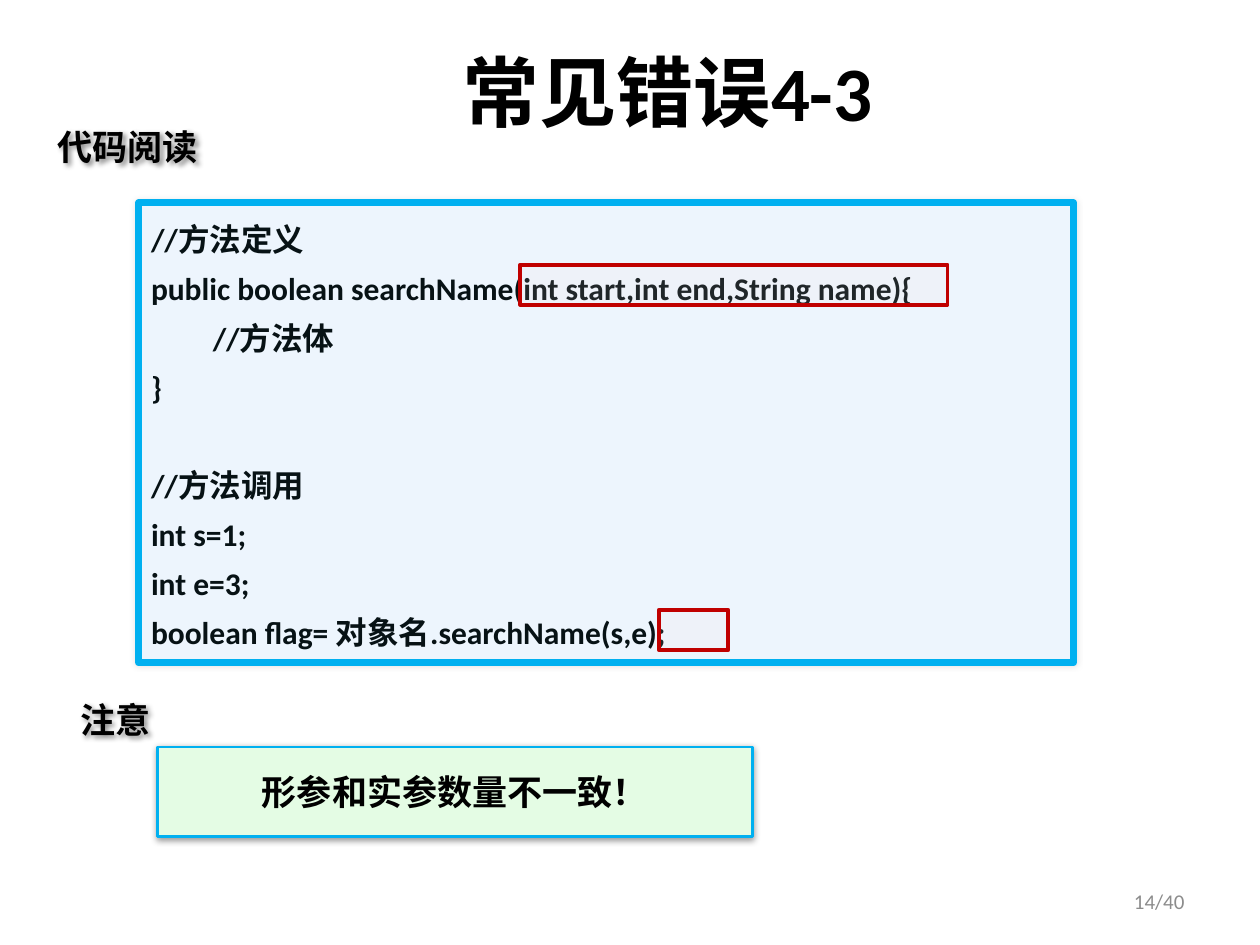
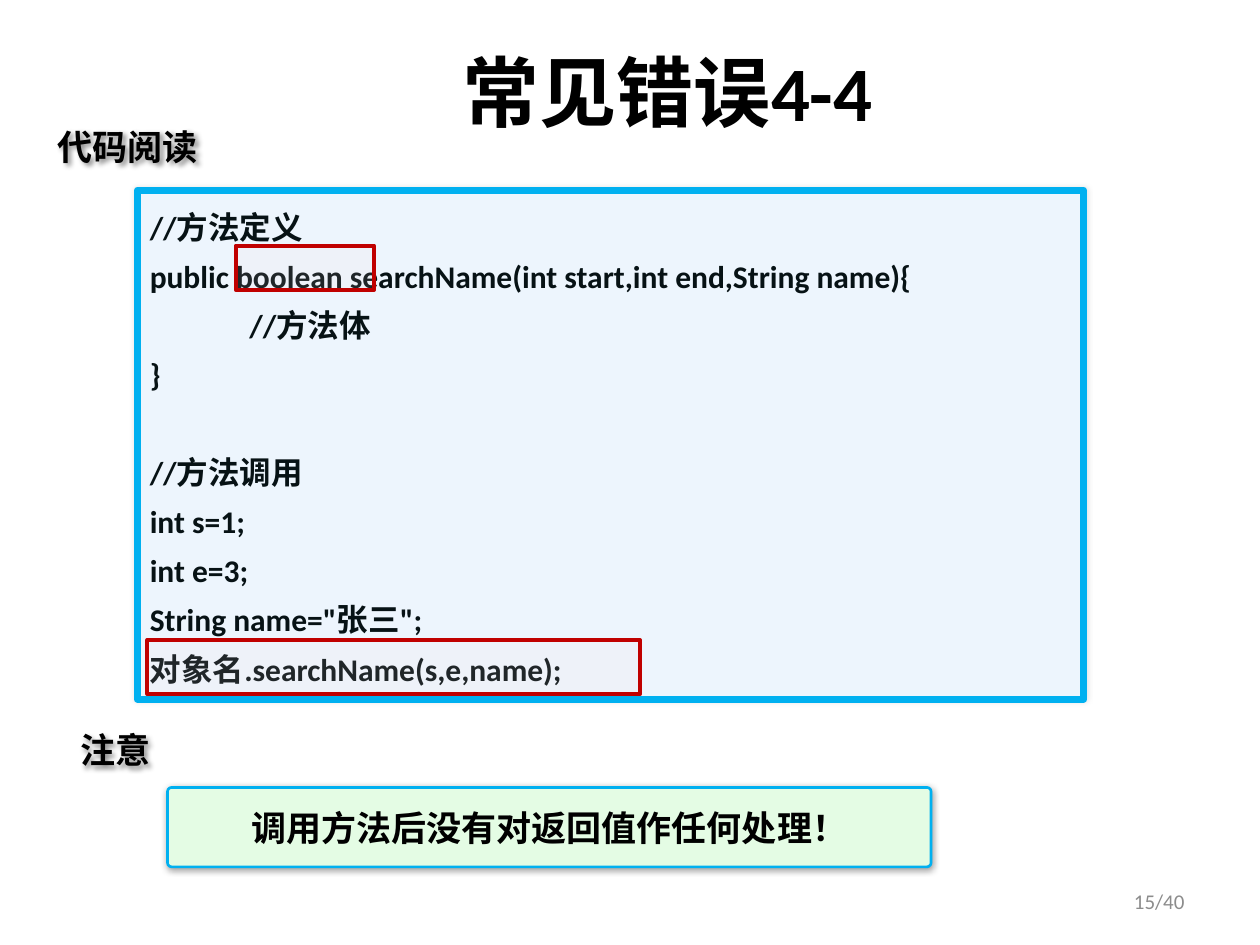
from dataclasses import dataclass
from typing import Optional

from lxml.etree import SubElement
from pptx import Presentation
from pptx.dml.color import RGBColor
from pptx.enum.shapes import MSO_SHAPE as Preset
from pptx.enum.text import MSO_ANCHOR as Anchor, PP_ALIGN as Align
from pptx.oxml.ns import qn
from pptx.util import Emu, Inches, Pt

# Grid shared by all slides
SLIDE_WIDTH, SLIDE_HEIGHT = Inches(10), Inches(7.5)
COLUMNS, ROWS = 100, 75
COLUMN, ROW = SLIDE_WIDTH / COLUMNS, SLIDE_HEIGHT / ROWS

COLORS = {
    "text": "000000",
    "code": "071215",
    "page": "8C8C8C",
    "code_fill": "EDF5FD",
    "note_fill": "E4FCE4",
    "border": "00B0F0",
    "mark_fill": "FFDDDD",
    "mark_line": "C00000",
}
PAGE_COUNT = 40
CODE_LINE_HEIGHT = Pt(28)


@dataclass(frozen=True)
class Area:
    """Left and width in columns, top and height in rows."""
    left: float
    top: float
    width: float
    height: float

    def lengths(self) -> tuple:
        return (Emu(round(self.left * COLUMN)), Emu(round(self.top * ROW)),
                Emu(round(self.width * COLUMN)), Emu(round(self.height * ROW)))


@dataclass(frozen=True)
class TextStyle:
    font: str
    size: float
    color: str = "text"
    bold: bool = True
    align: Align = Align.CENTER
    spacing: Optional[float] = None


@dataclass(frozen=True)
class Shadow:
    opacity: int
    blur: float
    distance: float
    degrees: int


@dataclass(frozen=True)
class BoxStyle:
    fill: str
    line: str
    line_width: float
    shadow: Optional[Shadow] = None
    opacity: int = 100


@dataclass(frozen=True)
class CodeLine:
    text: str
    indent: float = 0
    gap_before: bool = False


@dataclass(frozen=True)
class MistakeSlide:
    number: int
    page: int
    code_area: Area
    code: tuple
    marks: tuple
    note_label_top: float
    note_area: Area
    note: str
    note_corner: float = 0


TITLE = TextStyle("Calibri", 44)
LABEL = TextStyle("Noto Sans CJK SC", 20)
NOTE = TextStyle("Arial", 20)
CODE = TextStyle("Calibri", 18, "code", align=Align.LEFT, spacing=1.3)
PAGE = TextStyle("Calibri", 12, "page", bold=False, align=Align.RIGHT)

CODE_BOX = BoxStyle("code_fill", "border", 4, Shadow(10, 3, 0, 0))
NOTE_BOX = BoxStyle("note_fill", "border", 1.5, Shadow(40, 4, 1, 90))
MARK_BOX = BoxStyle("mark_fill", "mark_line", 2.25, opacity=10)
LABEL_SHADOW = Shadow(45, 3, 2, 45)

TITLE_AREA = Area(8, 2.3, 90, 9.8)
PAGE_AREA = Area(71.7, 69.5, 23.3, 4)
READING_LABEL_AREA = Area(3.5, 9.4, 13.3, 4.4)


def method_code(body_indent: float, *call_lines: str) -> tuple:
    """Method definition, then the lines that call it."""
    return (
        CodeLine("//方法定义"),
        CodeLine("public boolean searchName(int start,int end,String name){"),
        CodeLine("//方法体", indent=body_indent),
        CodeLine("}"),
        CodeLine("//方法调用", gap_before=True),
        CodeLine("int s=1;"),
        CodeLine("int e=3;"),
        *map(CodeLine, call_lines),
    )


MISTAKES = (
    MistakeSlide(
        number=3, page=14,
        code_area=Area(11, 16.1, 74.2, 36.5),
        code=method_code(4.9, "boolean flag= 对象名.searchName(s,e);"),
        marks=(Area(41.3, 21, 33.9, 3.2), Area(52.3, 48.4, 5.5, 3.2)),
        note_label_top=54.9,
        note_area=Area(12.5, 59.3, 47.2, 7.1),
        note="形参和实参数量不一致！",
    ),
    MistakeSlide(
        number=4, page=15,
        code_area=Area(10.9, 15.1, 75.1, 40.4),
        code=method_code(7.9, 'String name="张三";', "对象名.searchName(s,e,name);"),
        marks=(Area(11.7, 50.8, 39.1, 4.3), Area(18.7, 19.5, 11, 3.5)),
        note_label_top=57.3,
        note_area=Area(13.3, 62.5, 60.6, 6.3),
        note="调用方法后没有对返回值作任何处理！",
        note_corner=0.05,
    ),
)


def color(name: str) -> RGBColor:
    return RGBColor.from_string(COLORS[name])


def add_shadow(shape, shadow: Shadow) -> None:
    shape.shadow.inherit = False
    effects = shape._element.spPr.find(qn("a:effectLst"))
    outer = SubElement(effects, qn("a:outerShdw"), {
        "blurRad": str(Pt(shadow.blur)), "dist": str(Pt(shadow.distance)),
        "dir": str(shadow.degrees * 60000), "algn": "ctr", "rotWithShape": "0"})
    shade = SubElement(outer, qn("a:srgbClr"), val=COLORS["text"])
    SubElement(shade, qn("a:alpha"), val=str(shadow.opacity * 1000))


def style_paragraph(paragraph, text: str, style: TextStyle) -> None:
    paragraph.text = text
    paragraph.alignment = style.align
    paragraph.line_spacing = style.spacing
    font = paragraph.font
    font.name, font.size, font.bold = style.font, Pt(style.size), style.bold
    font.color.rgb = color(style.color)


def add_text(slide, area: Area, text: str, style: TextStyle, wrap: bool = True):
    shape = slide.shapes.add_textbox(*area.lengths())
    frame = shape.text_frame
    frame.word_wrap = wrap
    frame.vertical_anchor = Anchor.MIDDLE
    style_paragraph(frame.paragraphs[0], text, style)
    return shape


def add_label(slide, area: Area, text: str) -> None:
    add_shadow(add_text(slide, area, text, LABEL, wrap=False), LABEL_SHADOW)


def add_box(slide, area: Area, style: BoxStyle, corner: Optional[float] = None):
    preset = Preset.RECTANGLE if corner is None else Preset.ROUNDED_RECTANGLE
    shape = slide.shapes.add_shape(preset, *area.lengths())
    if corner is not None:
        shape.adjustments[0] = corner
    shape.fill.solid()
    shape.fill.fore_color.rgb = color(style.fill)
    if style.opacity < 100:
        fill = shape._element.spPr.find(qn("a:solidFill"))
        SubElement(fill[0], qn("a:alpha"), val=str(style.opacity * 1000))
    shape.line.color.rgb = color(style.line)
    shape.line.width = Pt(style.line_width)
    shape.shadow.inherit = False
    if style.shadow:
        add_shadow(shape, style.shadow)
    return shape


def add_code(slide, area: Area, lines: tuple) -> None:
    frame = add_box(slide, area, CODE_BOX, corner=0).text_frame
    frame.word_wrap = True
    frame.vertical_anchor = Anchor.TOP
    for index, line in enumerate(lines):
        paragraph = frame.add_paragraph() if index else frame.paragraphs[0]
        style_paragraph(paragraph, line.text, CODE)
        if line.gap_before:
            paragraph.space_before = CODE_LINE_HEIGHT
        if line.indent:
            paragraph._p.get_or_add_pPr().set("marL", str(round(line.indent * COLUMN)))


def add_mistake_slide(presentation, mistake: MistakeSlide) -> None:
    slide = presentation.slides.add_slide(presentation.slide_layouts[6])
    # Title and page number
    add_text(slide, TITLE_AREA, f"常见错误4-{mistake.number}", TITLE)
    add_text(slide, PAGE_AREA, f"{mistake.page}/{PAGE_COUNT}", PAGE)
    # Code with the faulty parts marked
    add_label(slide, READING_LABEL_AREA, "代码阅读")
    add_code(slide, mistake.code_area, mistake.code)
    for area in mistake.marks:
        add_box(slide, area, MARK_BOX)
    # Note
    add_label(slide, Area(5.3, mistake.note_label_top, 7.7, 4.4), "注意")
    note_box = add_box(slide, mistake.note_area, NOTE_BOX, mistake.note_corner)
    note_box.text_frame.vertical_anchor = Anchor.MIDDLE
    style_paragraph(note_box.text_frame.paragraphs[0], mistake.note, NOTE)


def main() -> None:
    presentation = Presentation()
    presentation.slide_width, presentation.slide_height = SLIDE_WIDTH, SLIDE_HEIGHT
    for mistake in MISTAKES:
        add_mistake_slide(presentation, mistake)
    presentation.save("out.pptx")


if __name__ == "__main__":
    main()
